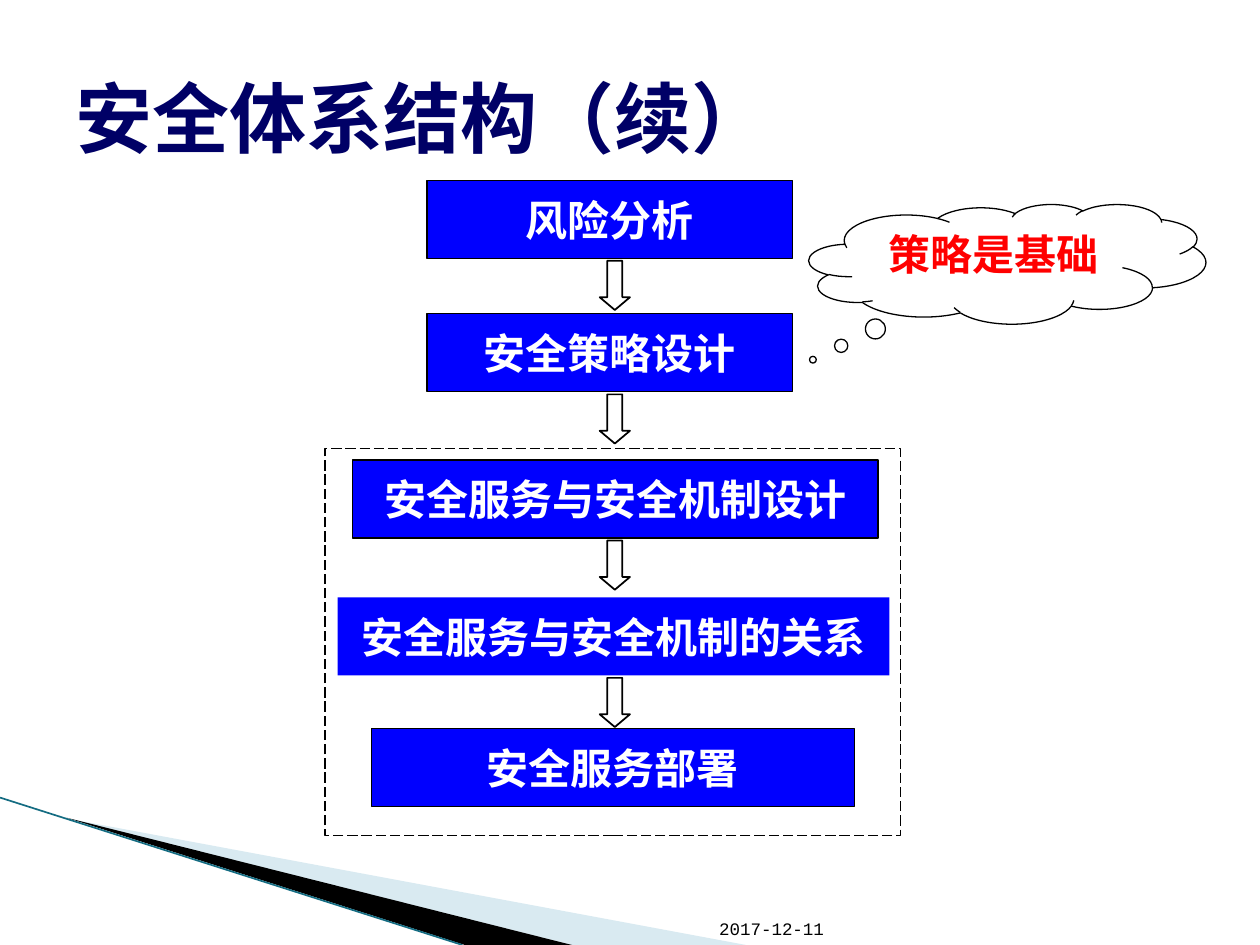
import pptx
import pptx.util
import pptx.dml.color
import pptx.enum.dml
import pptx.enum.shapes
import pptx.enum.text
import pptx.oxml
import pptx.oxml.ns
from pptx.util import Inches

COLORS = {
    "white": "FFFFFF",
    "black": "000000",
    "blue": "0000FF",
    "navy": "000066",
    "red": "FF0000",
    "teal": "146C82",
    "pale": "D9EAF1",
}
SHAPES = pptx.enum.shapes.MSO_SHAPE
ANCHORS = pptx.enum.text.MSO_ANCHOR
ALIGN = pptx.enum.text.PP_ALIGN


def rgb(name):
    return pptx.dml.color.RGBColor.from_string(COLORS[name])


class FlowSlide:
    """Holds the style and the current slide."""

    mono = "Courier New"
    sans = "Arial"
    label_size = 24

    def __init__(self, deck):
        self.page = deck.slides.add_slide(deck.slide_layouts[6])

    def paint(self, shape, fill, line, width=0.75):
        shape.shadow.inherit = False
        if fill:
            shape.fill.solid()
            shape.fill.fore_color.rgb = rgb(fill)
        else:
            shape.fill.background()
        if line:
            shape.line.color.rgb = rgb(line)
            shape.line.width = pptx.util.Pt(width)
        else:
            shape.line.fill.background()

    def set_text(self, shape, text, size, font, color, anchor, align, bold=True, wrap=True):
        frame = shape.text_frame
        frame.word_wrap = wrap
        frame.vertical_anchor = anchor
        para = frame.paragraphs[0]
        para.text = text
        para.alignment = align
        para.font.size = pptx.util.Pt(size)
        para.font.name = font
        para.font.bold = bold
        para.font.color.rgb = rgb(color)

    def shape(self, kind, left, top, width, height, fill, line="black", weight=0.75):
        shape = self.page.shapes.add_shape(
            kind, Inches(left), Inches(top), Inches(width), Inches(height))
        self.paint(shape, fill, line, weight)
        return shape

    def text(self, left, top, width, height, text, size, color, anchor, bold):
        box = self.page.shapes.add_textbox(
            Inches(left), Inches(top), Inches(width), Inches(height))
        self.set_text(box, text, size, self.mono, color, anchor, ALIGN.LEFT, bold)

    def wedge(self, points, fill):
        corners = [(Inches(x), Inches(y)) for x, y in points]
        builder = self.page.shapes.build_freeform(*corners[0])
        builder.add_line_segments(corners[1:], close=True)
        self.paint(builder.convert_to_shape(), fill, None)

    def line(self, start, end, color, width):
        line = self.page.shapes.add_connector(
            pptx.enum.shapes.MSO_CONNECTOR.STRAIGHT,
            *[Inches(value) for value in start + end])
        line.line.color.rgb = rgb(color)
        line.line.width = pptx.util.Pt(width)
        properties = line._element.spPr
        properties.append(properties.makeelement(pptx.oxml.ns.qn("a:effectLst"), {}))

    def frame(self, left, top, width, height):
        frame = self.shape(SHAPES.RECTANGLE, left, top, width, height, "white")
        frame.line.dash_style = pptx.enum.dml.MSO_LINE.LONG_DASH

    def step(self, left, top, width, label, line):
        box = self.shape(SHAPES.RECTANGLE, left, top, width, 0.62, "blue", line)
        self.set_text(box, label, self.label_size, self.sans, "white",
                      ANCHORS.MIDDLE, ALIGN.CENTER, wrap=False)

    def arrow(self, left, top):
        arrow = self.shape(SHAPES.DOWN_ARROW, left, top, 0.24, 0.39, None, weight=1)
        arrow.adjustments[0] = 0.5
        arrow.adjustments[1] = 0.42

    def cloud(self, left, top, width, height, label):
        cloud = self.shape(SHAPES.CLOUD_CALLOUT, left, top, width, height, "white")
        cloud.adjustments[0] = -0.49
        cloud.adjustments[1] = 0.8
        self.set_text(cloud, label, self.label_size, self.sans, "red",
                      ANCHORS.TOP, ALIGN.CENTER)


def main():
    deck = pptx.Presentation()
    deck.slide_width, deck.slide_height = Inches(10), Inches(7.5)
    slide = FlowSlide(deck)

    # Corner decoration
    slide.wedge([(0.55, 6.5), (5.92, 7.5), (4.54, 7.5)], "pale")
    slide.wedge([(0.53, 6.49), (4.54, 7.5), (3.69, 7.5)], "black")
    slide.line((0, 6.33), (3.67, 7.5), "teal", 0.95)

    # Title and date
    slide.text(0.5, 0.3, 9, 1.25, "安全体系结构（续）", 44, "navy", ANCHORS.MIDDLE, True)
    slide.text(5.61, 7.01, 1.12, 0.49, "2017-12-11", 10, "black", ANCHORS.BOTTOM, False)

    # Remark on the strategy step
    slide.cloud(6.42, 1.62, 3.15, 0.95, "策略是基础")

    # Steps, the last three inside a dashed frame
    slide.frame(2.58, 3.56, 4.57, 3.07)
    steps = [
        (3.39, 1.43, 2.9, "风险分析", "black"),
        (3.39, 2.49, 2.9, "安全策略设计", "black"),
        (2.8, 3.65, 4.17, "安全服务与安全机制设计", "black"),
        (2.68, 4.74, 4.38, "安全服务与安全机制的关系", None),
        (2.95, 5.78, 3.83, "安全服务部署", "black"),
    ]
    for step in steps:
        slide.step(*step)

    # An arrow just below each step but the last
    for left, top, width, label, line in steps[:-1]:
        slide.arrow(4.76, top + 0.64)

    deck.save("out.pptx")


if __name__ == "__main__":
    main()
